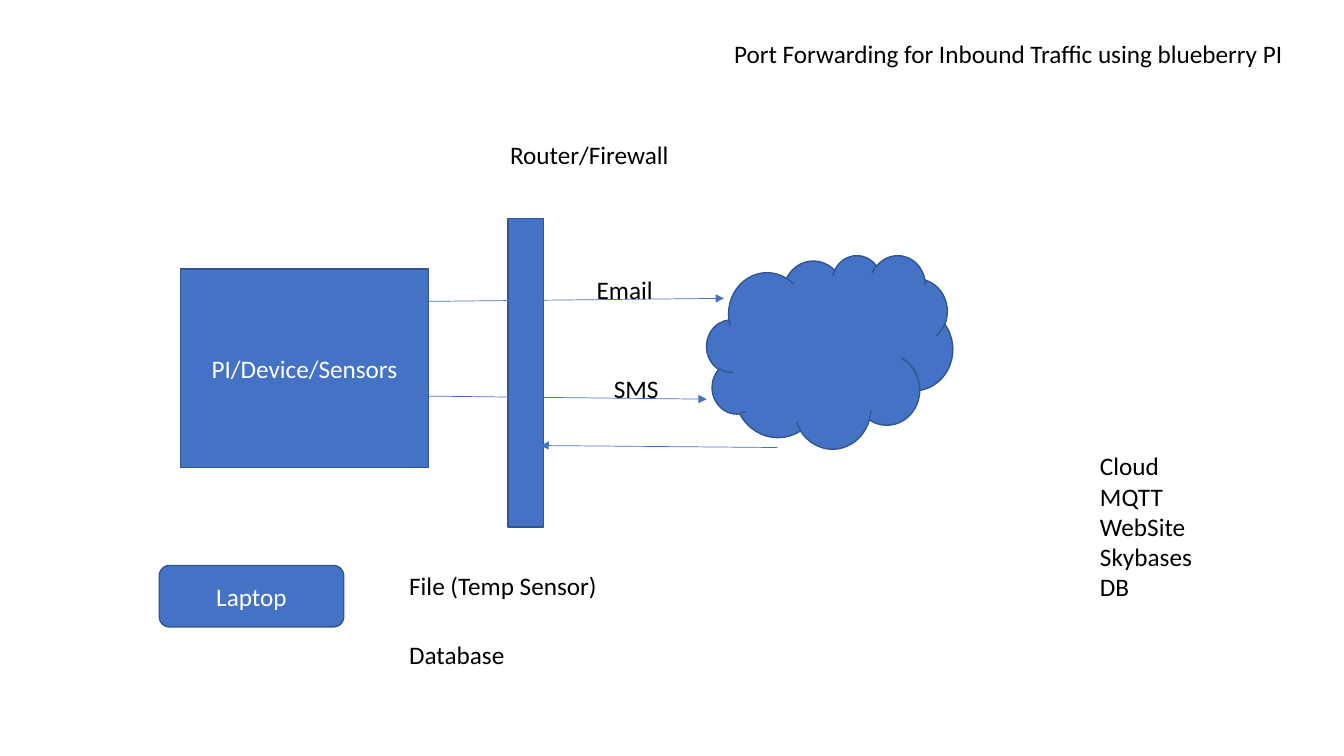
from dataclasses import dataclass

from lxml import etree
from pptx import Presentation
from pptx.dml.color import RGBColor
from pptx.enum.shapes import MSO_CONNECTOR, MSO_SHAPE
from pptx.enum.text import MSO_ANCHOR, MSO_AUTO_SIZE, PP_ALIGN
from pptx.oxml.ns import qn
from pptx.util import Inches, Pt

RECT, ROUNDED, CLOUD = MSO_SHAPE.RECTANGLE, MSO_SHAPE.ROUNDED_RECTANGLE, MSO_SHAPE.CLOUD
STRAIGHT = MSO_CONNECTOR.STRAIGHT
MIDDLE, TOP = MSO_ANCHOR.MIDDLE, MSO_ANCHOR.TOP
CENTER, LEFT = PP_ALIGN.CENTER, PP_ALIGN.LEFT
GROW = MSO_AUTO_SIZE.SHAPE_TO_FIT_TEXT


@dataclass(frozen=True)
class Theme:
    font: str = "Calibri"
    size: Pt = Pt(18)
    fill: RGBColor = RGBColor(0x44, 0x72, 0xC4)
    outline: RGBColor = RGBColor(0x32, 0x54, 0x91)
    on_fill: RGBColor = RGBColor(0xFF, 0xFF, 0xFF)
    text: RGBColor = RGBColor(0, 0, 0)
    outline_width: Pt = Pt(1)
    arrow_width: Pt = Pt(0.5)


THEME = Theme()
SLIDE_SIZE = (13.33, 7.5)
LINE_HEIGHT, TEXT_MARGINS = 0.3, 0.1

# Boxes are left, top, width, height; text spots are left, top, width.
TITLE = ("Port Forwarding for Inbound Traffic using blueberry PI", (7.18, 0.33, 5.7))
SERVICES = (["Cloud", "MQTT", "WebSite", "Skybases DB"], (10.81, 4.42, 1.42))
NODES = [
    (RECT, "PI/Device/Sensors", (1.79, 2.67, 2.46, 1.97)),
    (RECT, "", (5.04, 2.17, 0.35, 3.06)),
    (CLOUD, "", (7.01, 2.53, 2.44, 1.92)),
    (ROUNDED, "Laptop", (1.58, 5.61, 1.83, 0.61)),
]
TRAFFIC = [
    ((4.25, 2.99), (7.18, 2.96)),
    ((4.25, 3.93), (7.01, 3.96)),
    ((7.71, 4.44), (5.36, 4.42)),
]
LABELS = [
    ("Email", (5.82, 2.67, 0.76)),
    ("SMS", (5.99, 3.65, 0.65)),
    ("File (Temp Sensor)", (3.96, 5.61, 2.09)),
    ("Router/Firewall", (4.96, 1.33, 1.79)),
    ("Database", (3.96, 6.29, 1.16)),
]


def inches(values):
    return [Inches(value) for value in values]


def style_paragraphs(frame, color, align):
    for paragraph in frame.paragraphs:
        paragraph.alignment = align
        paragraph.space_before = Pt(0)
        paragraph.font.name = THEME.font
        paragraph.font.size = THEME.size
        paragraph.font.color.rgb = color


def write_lines(holder, lines, spot):
    """Fill a text box or placeholder, sized by its number of lines."""
    height = len(lines) * LINE_HEIGHT + TEXT_MARGINS
    holder.left, holder.top, holder.width, holder.height = inches((*spot, height))
    frame = holder.text_frame
    frame.text = "\n".join(lines)
    frame.word_wrap = False
    frame.auto_size = GROW
    frame.vertical_anchor = TOP
    style_paragraphs(frame, THEME.text, LEFT)


def remove_bullets(frame):
    for paragraph in frame.paragraphs:
        properties = paragraph._p.get_or_add_pPr()
        properties.set("marL", "0")
        properties.set("indent", "0")
        etree.SubElement(properties, qn("a:buNone"))


def add_node(slide, kind, name, box):
    node = slide.shapes.add_shape(kind, *inches(box))
    node.shadow.inherit = False
    node.fill.solid()
    node.fill.fore_color.rgb = THEME.fill
    node.line.color.rgb = THEME.outline
    node.line.width = THEME.outline_width
    if name:
        node.text_frame.text = name
        node.text_frame.vertical_anchor = MIDDLE
        style_paragraphs(node.text_frame, THEME.on_fill, CENTER)


def add_arrow(slide, start, end):
    arrow = slide.shapes.add_connector(STRAIGHT, *inches(start + end))
    arrow.line.color.rgb = THEME.fill
    arrow.line.width = THEME.arrow_width
    etree.SubElement(arrow.line._get_or_add_ln(), qn("a:tailEnd"), type="triangle")
    etree.SubElement(arrow._element.spPr, qn("a:effectLst"))


def main():
    deck = Presentation()
    deck.slide_width, deck.slide_height = inches(SLIDE_SIZE)
    slide = deck.slides.add_slide(deck.slide_layouts[1])

    title, title_spot = TITLE
    write_lines(slide.shapes.title, [title], title_spot)
    services = slide.placeholders[1]
    write_lines(services, *SERVICES)
    remove_bullets(services.text_frame)

    for node in NODES:
        add_node(slide, *node)
    for start, end in TRAFFIC:
        add_arrow(slide, start, end)
    for label, spot in LABELS:
        box = slide.shapes.add_textbox(*inches((*spot, LINE_HEIGHT)))
        write_lines(box, [label], spot)

    deck.save("out.pptx")


if __name__ == "__main__":
    main()
